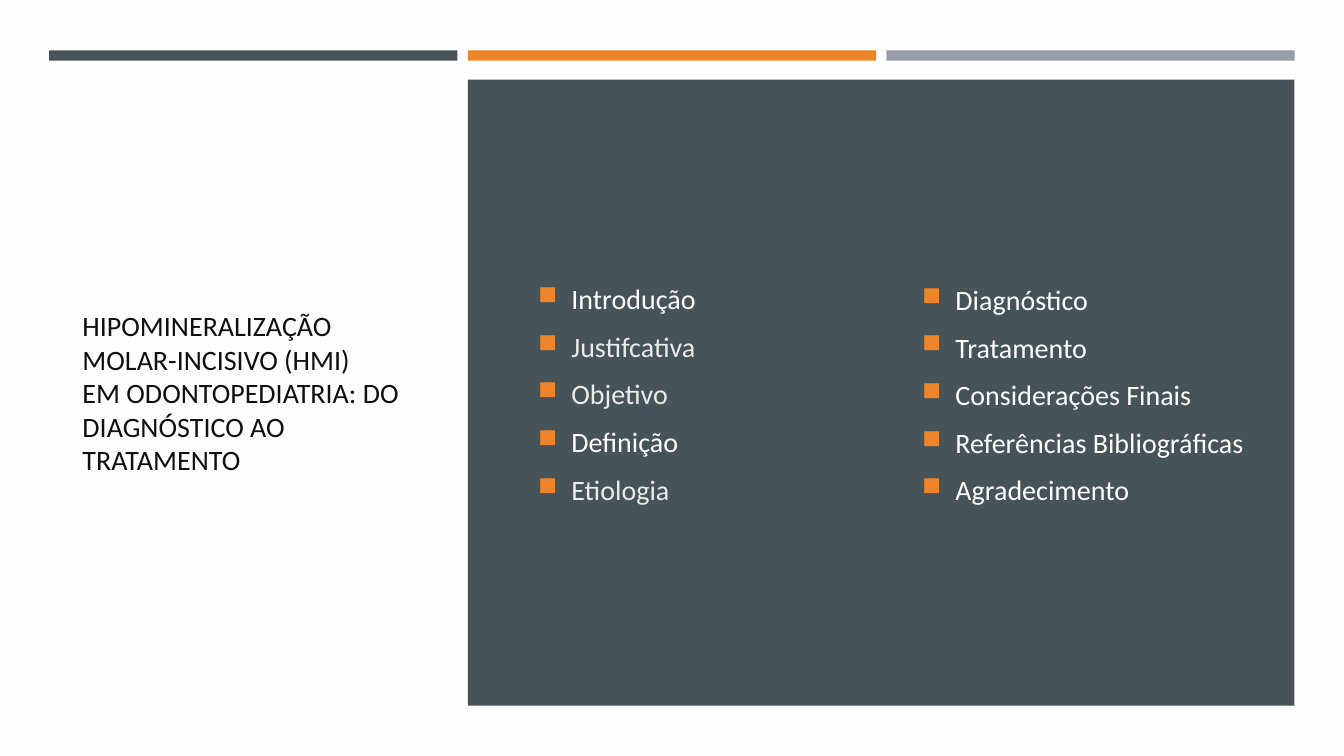
from lxml import etree
from pptx import Presentation
from pptx.dml.color import RGBColor
from pptx.enum import shapes, text
from pptx.oxml import ns
from pptx.util import Cm, Pt

SLATE, ORANGE, GREY = "465359", "ED8428", "969FA7"
WHITE, PALE, BLACK = "FFFFFF", "EBEBEB", "0F0F0F"
TITLE = ("HIPOMINERALIZAÇÃO\vMOLAR-INCISIVO (HMI)\vEM ODONTOPEDIATRIA: DO\v"
         "DIAGNÓSTICO AO\vTRATAMENTO")
LEFT_TOPICS = [("Introdução", WHITE), ("Justifcativa", PALE), ("Objetivo", PALE),
               ("Definição", WHITE), ("Etiologia", PALE)]
RIGHT_TOPICS = [(topic, WHITE) for topic in (
    "Diagnóstico", "Tratamento", "Considerações Finais",
    "Referências Bibliográficas", "Agradecimento")]


def rgb(value):
    """Turn a hex string into a colour."""
    return RGBColor.from_string(value)


def add_rect(s, x, y, w, h, color):
    """Draw a plain filled rectangle, measured in centimetres."""
    sp = s.shapes.add_shape(shapes.MSO_SHAPE.RECTANGLE, Cm(x), Cm(y), Cm(w), Cm(h))
    sp.shadow.inherit = False
    sp.fill.solid()
    sp.fill.fore_color.rgb = rgb(color)
    sp.line.fill.background()


def add_frame(s, x, y, w, h):
    """Add a wrapping, vertically centred text box and return its frame."""
    tf = s.shapes.add_textbox(Cm(x), Cm(y), Cm(w), Cm(h)).text_frame
    tf.word_wrap = True
    tf.vertical_anchor = text.MSO_ANCHOR.MIDDLE
    return tf


def write(p, content, color=BLACK, size=20, font="Calibri"):
    """Put formatted text into a paragraph."""
    p.text = content
    for r in p.runs:
        r.font.name, r.font.size = font, Pt(size)
        r.font.color.rgb = rgb(color)


def add_bullet(p, color=ORANGE, size=92, indent=0.84):
    """Give a paragraph a coloured square bullet with a hanging indent."""
    pr = p._p.get_or_add_pPr()
    pr.set("marL", str(Cm(indent)))
    pr.set("indent", str(-Cm(indent)))
    clr = etree.SubElement(pr, ns.qn("a:buClr"))
    etree.SubElement(clr, ns.qn("a:srgbClr"), val=color)
    etree.SubElement(pr, ns.qn("a:buSzPct"), val=str(size * 1000))
    etree.SubElement(pr, ns.qn("a:buChar"), char="■")


def add_topics(s, x, y, topics):
    """Add a column of bulleted topics."""
    tf = add_frame(s, x, y, 9.02, 13.08)
    for i, (topic, color) in enumerate(topics):
        p = tf.add_paragraph() if i else tf.paragraphs[0]
        write(p, topic, color=color)
        p.space_before, p.space_after = Pt(4), Pt(6)
        add_bullet(p)


def main():
    """Build the agenda slide and save it."""
    prs = Presentation()
    prs.slide_width, prs.slide_height = Cm(33.87), Cm(19.05)
    s = prs.slides.add_slide(prs.slide_layouts[6])
    s.background.fill.solid()
    s.background.fill.fore_color.rgb = rgb("FFFEFF")
    for i, color in enumerate((SLATE, ORANGE, GREY)):
        add_rect(s, 1.24 + i * 10.55, 1.27, 10.29, 0.26, color)
    add_rect(s, 11.79, 2.01, 20.83, 15.77, SLATE)
    write(add_frame(s, 1.83, 3.35, 9.2, 13.08).paragraphs[0], TITLE)
    add_topics(s, 13.31, 3.38, LEFT_TOPICS)
    add_topics(s, 22.99, 3.4, RIGHT_TOPICS)
    prs.save("out.pptx")


if __name__ == "__main__":
    main()
